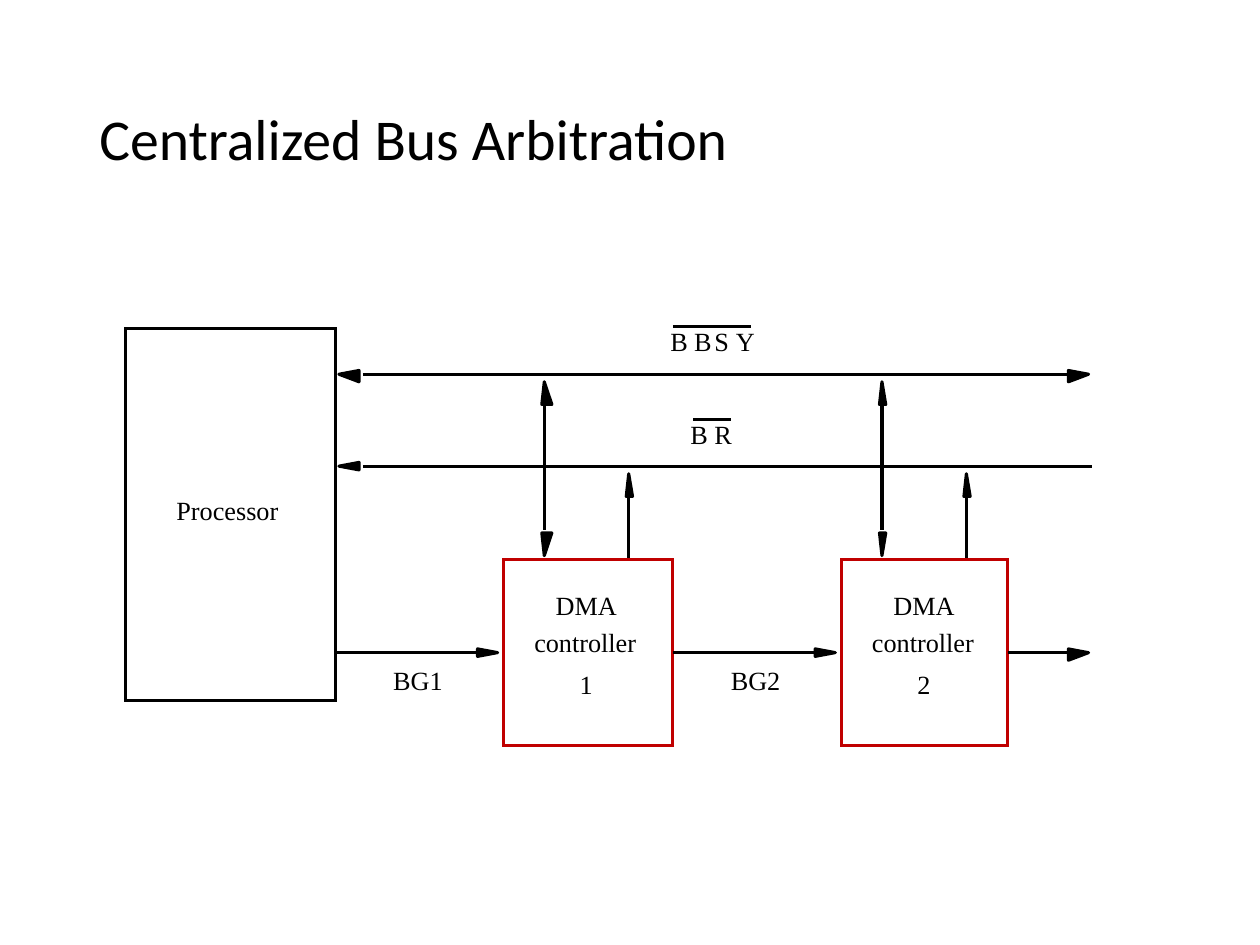
from lxml import etree
from pptx import Presentation
from pptx.dml.color import RGBColor
from pptx.enum.shapes import MSO_CONNECTOR, MSO_SHAPE
from pptx.enum.text import MSO_ANCHOR, MSO_AUTO_SIZE
from pptx.oxml.ns import qn
from pptx.util import Inches, Pt

STRAIGHT, RECT = MSO_CONNECTOR.STRAIGHT, MSO_SHAPE.RECTANGLE
MIDDLE, TOP = MSO_ANCHOR.MIDDLE, MSO_ANCHOR.TOP
FIT, NO_FIT = MSO_AUTO_SIZE.SHAPE_TO_FIT_TEXT, MSO_AUTO_SIZE.NONE

THEME = {
    "ink": RGBColor(0, 0, 0),
    "accent": RGBColor(0xC0, 0, 0),
    "line": Pt(1.75),
    "title": {"name": "Calibri", "size": Pt(33)},
    "label": {"name": "Times New Roman", "size": Pt(15)},
}

# Content: labels are (text, left, top, width)
TITLE = "Centralized Bus Arbitration"
PROCESSOR = ("Processor", 1.4, 3.92, 0.82)
SIGNALS = [
    {"letters": [("B", 5.32, 0.15), ("B", 5.51, 0.15), ("S", 5.67, 0.13), ("Y", 5.84, 0.16)],
     "top": 2.58, "bar": (5.34, 5.96)},
    {"letters": [("B", 5.48, 0.15), ("R", 5.67, 0.15)],
     "top": 3.32, "bar": (5.5, 5.8)},
]
CONTROLLERS = [{"number": "1", "grant": "BG1", "width": 1.34},
               {"number": "2", "grant": "BG2", "width": 1.32}]

# Layout in inches
PITCH = 2.68                                   # from one controller to the next
BBSY_Y, BR_Y, GRANT_Y = 2.97, 3.7, 5.18
BOX_LEFT, BOX_TOP, BOX_HEIGHT = 4, 4.44, 1.48
PROCESSOR_BOX = (1, 2.61, 1.66, 2.95)
BUS_LEFT, BUS_TIP, BUS_END = 2.69, 8.64, 8.67
HEAD = {"h": 0.16, "v": 0.18}                  # arrowhead lengths


def add_text(s, text, left, top, width, height=0.25, font="label",
             inset=None, anchor=TOP, spacing=1.0, fit=FIT):
    tf = s.shapes.add_textbox(*map(Inches, (left, top, width, height))).text_frame
    settings = {"word_wrap": fit == NO_FIT, "auto_size": fit, "vertical_anchor": anchor}
    if inset is None:
        settings.update(dict.fromkeys(
            ("margin_left", "margin_top", "margin_right", "margin_bottom"), 0))
    for name, value in settings.items():
        setattr(tf, name, value)
    p = tf.paragraphs[0]
    p.line_spacing = spacing
    r = p.add_run()
    r.text = text
    for name, value in THEME[font].items():
        setattr(r.font, name, value)
    r.font.color.rgb = THEME["ink"]


def set_line(shape, color="ink"):
    shape.line.color.rgb = THEME[color]
    shape.line.width = THEME["line"]


def add_line(s, x1, y1, x2, y2):
    line = s.shapes.add_connector(STRAIGHT, *map(Inches, (x1, y1, x2, y2)))
    set_line(line)
    etree.SubElement(line._element.spPr, qn("a:effectLst"))


def add_head(s, x, y, axis, sign, before=0.03, after=0.03):
    """Arrowhead with its tip at x, y, reaching before and after its axis."""
    back = -sign * HEAD[axis]
    if axis == "h":
        points = [(x, y), (x + back, y - before), (x + back, y + after)]
    else:
        points = [(x, y), (x - before, y + back), (x + after, y + back)]
    start, *rest = [(Inches(px), Inches(py)) for px, py in points]
    builder = s.shapes.build_freeform(*start)
    builder.add_line_segments(rest, close=True)
    head = builder.convert_to_shape()
    head.shadow.inherit = False
    head.fill.solid()
    head.fill.fore_color.rgb = THEME["ink"]
    set_line(head)


def add_box(s, left, top, width, height, color):
    box = s.shapes.add_shape(RECT, *map(Inches, (left, top, width, height)))
    box.shadow.inherit = False
    box.fill.background()
    set_line(box, color)
    # Square corners
    etree.SubElement(box.line._get_or_add_ln(), qn("a:miter"), lim="800000")


def add_grant(s, start, tip, after=0.03):
    add_line(s, start, GRANT_Y, tip - HEAD["h"], GRANT_Y)
    add_head(s, tip, GRANT_Y, "h", 1, after=after)


def add_controller(s, index, number, grant, width):
    dx = index * PITCH
    # Grant line coming in from the left
    add_grant(s, 2.66 + dx, 3.95 + dx)
    add_text(s, grant, 3.12 + dx, 5.27, 0.42)
    # Two-way link to the busy line
    link, wide = 4.32 + dx, (0.06 if index == 0 else 0.03)
    add_line(s, link, 3.2, link, 4.21)
    add_head(s, link, 3.03, "v", -1, 0.02, wide)
    add_head(s, link, 4.41, "v", 1, 0.02, wide)
    # Request going up to the request line
    request = 4.99 + dx
    add_line(s, request, 3.94, request, BOX_TOP)
    add_head(s, request, 3.76, "v", -1, 0.02, 0.03)
    # Box and its three lines of text
    add_box(s, BOX_LEFT + dx, BOX_TOP, width, BOX_HEIGHT, "accent")
    for text, left, top, text_width in (("DMA", 4.41, 4.68, 0.5),
                                        ("controller", 4.24, 4.97, 0.82),
                                        (number, 4.6, 5.3, 0.12)):
        add_text(s, text, left + dx, top, text_width)


def main():
    prs = Presentation()
    prs.slide_width, prs.slide_height = Inches(10), Inches(7.5)
    s = prs.slides.add_slide(prs.slide_layouts[6])
    add_text(s, TITLE, 0.69, 0.4, 8.63, 1.45, font="title", inset="default",
             anchor=MIDDLE, spacing=0.9, fit=NO_FIT)

    # Busy and request lines
    add_line(s, 2.88, BBSY_Y, 8.48, BBSY_Y)
    add_head(s, BUS_LEFT, BBSY_Y, "h", -1, after=0.06)
    add_head(s, BUS_TIP, BBSY_Y, "h", 1, after=0.06)
    add_line(s, 2.88, BR_Y, BUS_END, BR_Y)
    add_head(s, BUS_LEFT, BR_Y, "h", -1)

    # Overlined signal names
    for signal in SIGNALS:
        top, (start, end) = signal["top"], signal["bar"]
        for letter, left, width in signal["letters"]:
            add_text(s, letter, left, top, width)
        add_line(s, start, top + 0.01, end, top + 0.01)

    # Processor, controllers and the grant leaving the last one
    add_box(s, *PROCESSOR_BOX, "ink")
    add_text(s, *PROCESSOR)
    for index, controller in enumerate(CONTROLLERS):
        add_controller(s, index, **controller)
    add_grant(s, 8, BUS_TIP, after=0.06)
    prs.save("out.pptx")


if __name__ == "__main__":
    main()
